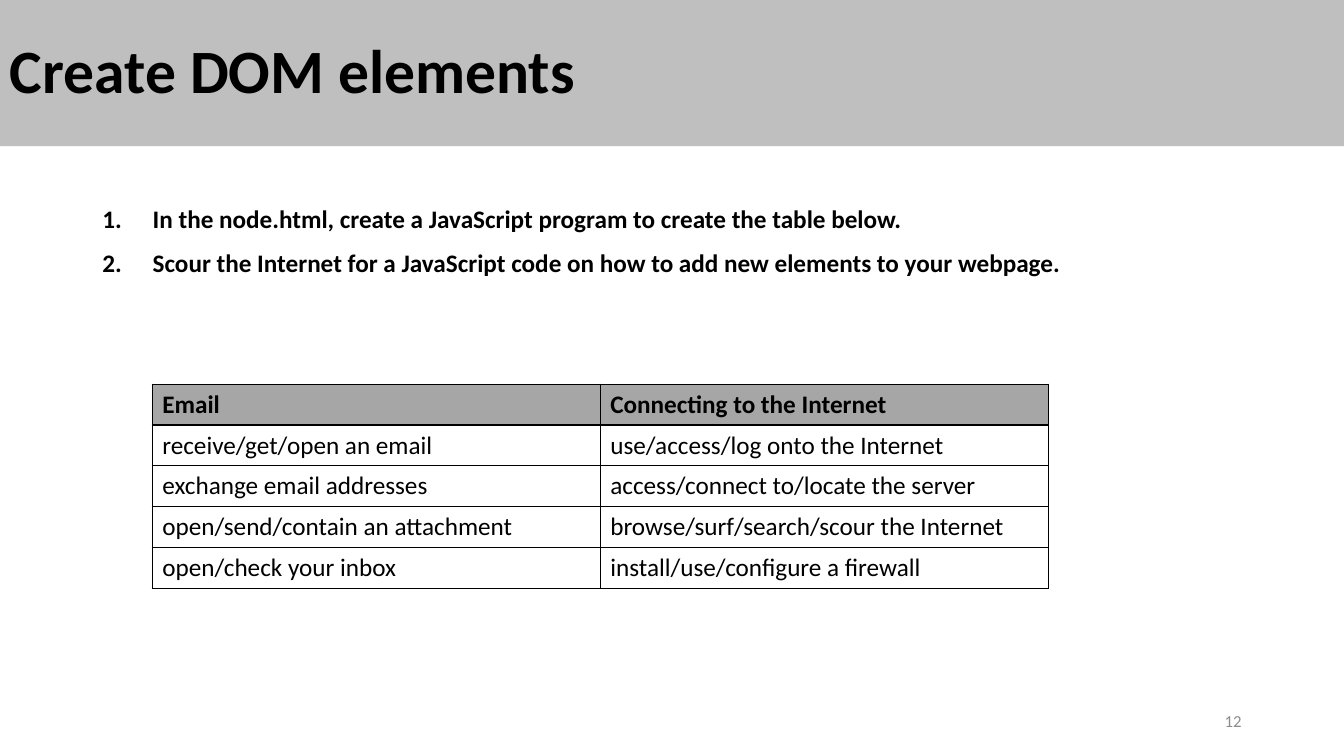
from pptx import Presentation
from pptx.dml.color import RGBColor
from pptx.enum.shapes import MSO_SHAPE as SHAPE
from pptx.enum.text import MSO_ANCHOR as ANCHOR, PP_ALIGN as ALIGN
from pptx.oxml import parse_xml
from pptx.oxml.ns import nsdecls
from pptx.util import Pt

BLACK = RGBColor(0x00, 0x00, 0x00)
BAND_GRAY = RGBColor(0xBF, 0xBF, 0xBF)
HEADER_GRAY = RGBColor(0xA6, 0xA6, 0xA6)
NUMBER_GRAY = RGBColor(0x8C, 0x8C, 0x8C)

TITLE = "Create DOM elements"
STEPS = [
    "In the node.html, create a JavaScript program to create the table below.",
    "Scour the Internet for a JavaScript code on how to add new elements to your webpage.",
]
PHRASES = [
    ("Email", "Connecting to the Internet"),
    ("receive/get/open an email", "use/access/log onto the Internet"),
    ("exchange email addresses", "access/connect to/locate the server"),
    ("open/send/contain an attachment", "browse/surf/search/scour the Internet"),
    ("open/check your inbox", "install/use/configure a firewall"),
]


def set_attrs(obj, values):
    for name, value in values.items():
        setattr(obj, name, value)


def write(p, text, size, color=BLACK, bold=False, **para):
    set_attrs(p, para)
    r = p.add_run()
    r.text = text
    set_attrs(r.font, {"name": "Calibri", "size": Pt(size), "bold": bold})
    r.font.color.rgb = color


def add_text_box(slide, left, top, width, height, anchor=ANCHOR.TOP):
    sp = slide.shapes.add_textbox(Pt(left), Pt(top), Pt(width), Pt(height))
    set_attrs(sp.text_frame, {"word_wrap": True, "vertical_anchor": anchor})
    return sp.text_frame


def add_title_band(slide, width, height):
    sp = slide.shapes.add_shape(SHAPE.RECTANGLE, 0, 0, width, Pt(height))
    sp.shadow.inherit = False
    sp.fill.solid()
    sp.fill.fore_color.rgb = BAND_GRAY
    sp.line.fill.background()
    tf = sp.text_frame
    tf.vertical_anchor = ANCHOR.MIDDLE
    write(tf.paragraphs[0], TITLE, 44, bold=True,
          alignment=ALIGN.LEFT, line_spacing=0.9)


def number_paragraph(p, indent):
    pPr = p._p.get_or_add_pPr()
    pPr.set("marL", str(Pt(indent)))
    pPr.set("indent", str(-Pt(indent)))
    pPr.append(parse_xml(f'<a:buFont {nsdecls("a")} typeface="+mj-lt"/>'))
    pPr.append(parse_xml(f'<a:buAutoNum {nsdecls("a")} type="arabicPeriod"/>'))


def add_steps(slide):
    tf = add_text_box(slide, 66, 144, 828, 342.72)
    for i, step in enumerate(STEPS):
        p = tf.add_paragraph() if i else tf.paragraphs[0]
        write(p, step, 18, bold=True, line_spacing=0.9,
              space_before=Pt(6), space_after=Pt(6))
        number_paragraph(p, 36)


def add_borders(cell, width=1):
    tcPr = cell._tc.get_or_add_tcPr()
    for i, side in enumerate(("lnL", "lnR", "lnT", "lnB")):
        tcPr.insert(i, parse_xml(
            f'<a:{side} {nsdecls("a")} w="{Pt(width)}"><a:solidFill>'
            f'<a:srgbClr val="{BLACK}"/></a:solidFill></a:{side}>'))


def add_phrase_table(slide, left, top, col_width, row_height):
    rows, cols = len(PHRASES), len(PHRASES[0])
    frame = slide.shapes.add_table(rows, cols, Pt(left), Pt(top),
                                   Pt(cols * col_width), Pt(rows * row_height))
    table = frame.table
    set_attrs(table, {"first_row": False, "horz_banding": False})
    for r, row in enumerate(PHRASES):
        for c, text in enumerate(row):
            cell = table.cell(r, c)
            if r == 0:
                cell.fill.solid()
                cell.fill.fore_color.rgb = HEADER_GRAY
            else:
                cell.fill.background()
            add_borders(cell)
            write(cell.text_frame.paragraphs[0], text, 18, bold=r == 0)


def add_slide_number(slide, number):
    tf = add_text_box(slide, 678, 500.5, 216, 28.75, ANCHOR.MIDDLE)
    write(tf.paragraphs[0], number, 12, NUMBER_GRAY, alignment=ALIGN.RIGHT)


def main():
    prs = Presentation()
    set_attrs(prs, {"slide_width": Pt(960), "slide_height": Pt(540)})
    slide = prs.slides.add_slide(prs.slide_layouts[6])
    add_steps(slide)
    add_slide_number(slide, "12")
    add_title_band(slide, prs.slide_width, 104.4)
    add_phrase_table(slide, 108.8, 274.4, 320, 29.2)
    prs.save("out.pptx")


main()
